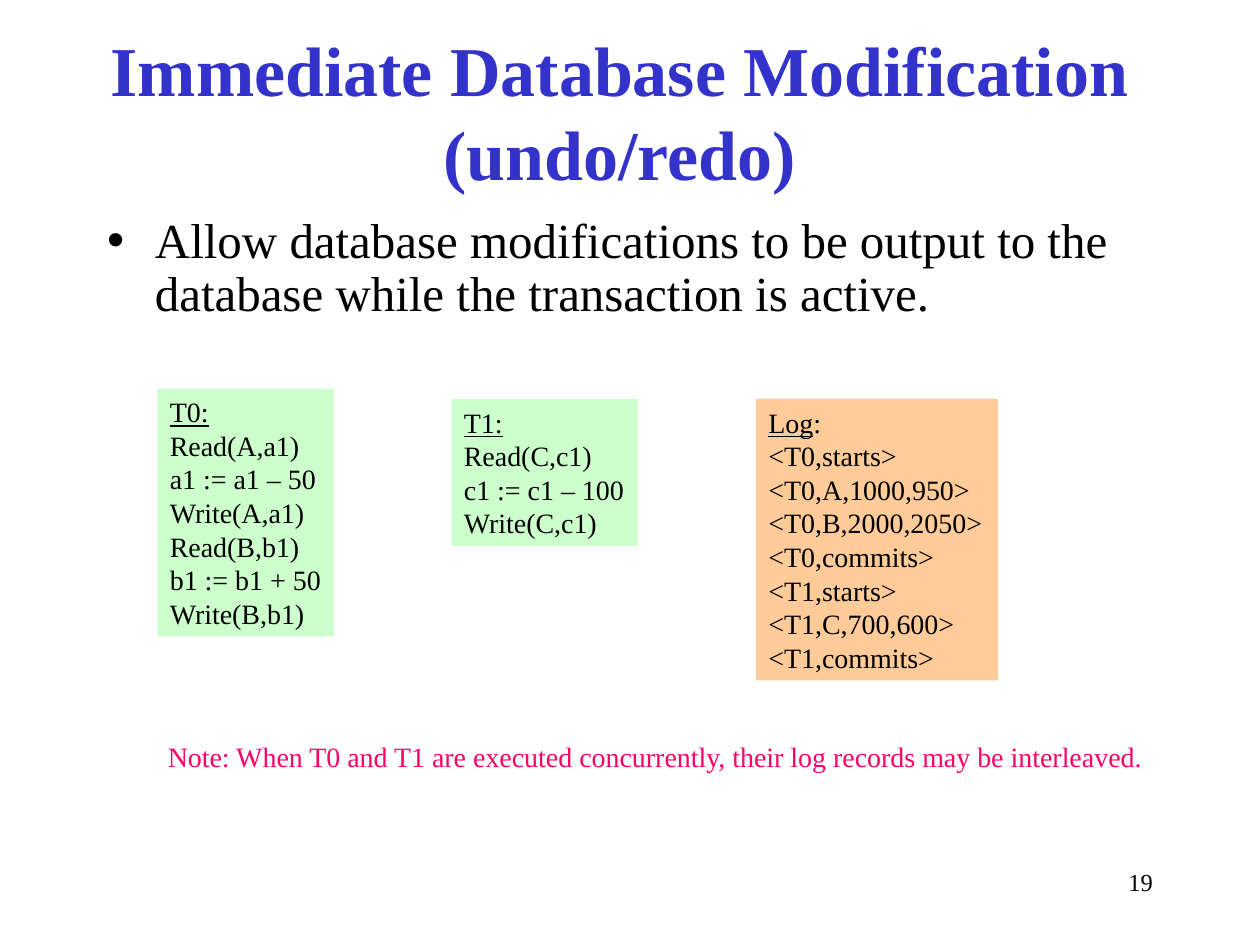
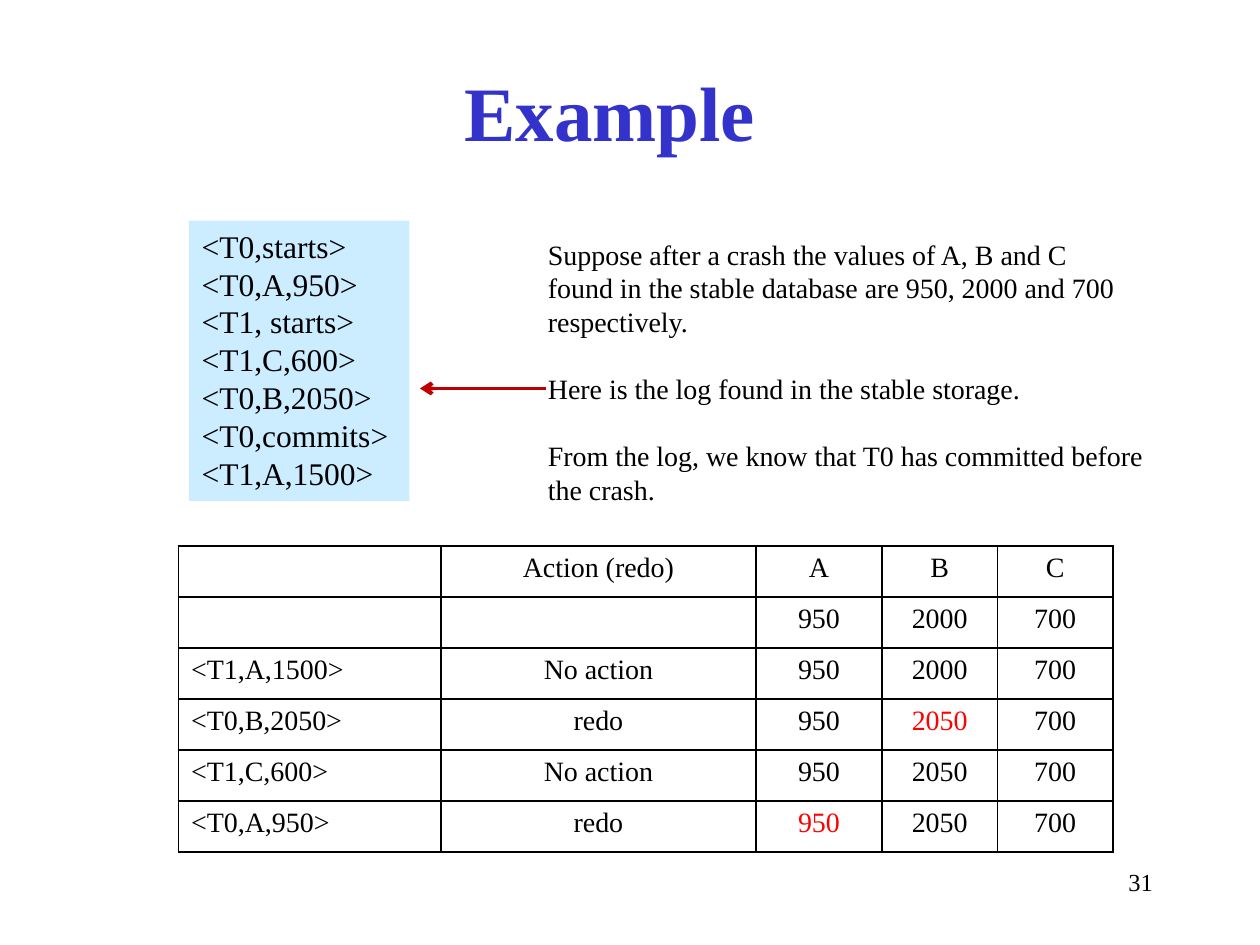
"""Build two slides on database recovery: immediate modification and a redo example."""
from lxml.etree import SubElement
from pptx import Presentation
from pptx.dml.color import RGBColor
from pptx.enum.shapes import MSO_CONNECTOR, MSO_SHAPE
from pptx.enum.text import MSO_ANCHOR, MSO_AUTO_SIZE, PP_ALIGN
from pptx.oxml import parse_xml
from pptx.oxml.ns import nsdecls, qn
from pptx.util import Inches, Pt

COLUMNS, ROWS = 120, 90
CELL = Inches(10) / COLUMNS
FONT = "Times New Roman"
BLACK, RED, PINK = "000000", "FF0000", "FF0066"
TITLE_BLUE, GREEN, ORANGE, PALE_BLUE = "3333CC", "CCFFCC", "FFCC99", "CCECFF"
ARROW_RED = "C00000"
LINE_ROWS, PADDING_ROWS = 3.2, 1.2
TITLE_PLACE, NUMBER_PLACE = (8, 3, 102, 15), (86, 82, 25, 6)
FIT_TEXT = {"word_wrap": False, "auto_size": MSO_AUTO_SIZE.SHAPE_TO_FIT_TEXT,
            "vertical_anchor": MSO_ANCHOR.TOP}
FIXED = {"word_wrap": True, "auto_size": MSO_AUTO_SIZE.NONE,
         "vertical_anchor": MSO_ANCHOR.TOP}


def place(shape, grid):
    """Move a shape to left, top, width and height in grid cells."""
    for name, cells in zip(("left", "top", "width", "height"), grid):
        setattr(shape, name, round(cells * CELL))


def write(frame, lines, size=16, color=BLACK, bold=False, layout=None, **paragraph_format):
    """Write one paragraph per line, with runs parted by a bar."""
    for name, value in (layout or {}).items():
        setattr(frame, name, value)
    for index, line in enumerate(lines):
        paragraph = frame.add_paragraph() if index else frame.paragraphs[0]
        for name, value in paragraph_format.items():
            setattr(paragraph, name, value)
        for text in line.split("|"):
            run = paragraph.add_run()
            run.text = text
            font_format = {"name": FONT, "size": Pt(size), "bold": bold}
            for name, value in font_format.items():
                setattr(run.font, name, value)
            run.font.color.rgb = RGBColor.from_string(color)


presentation = Presentation()
presentation.slide_width = round(COLUMNS * CELL)
presentation.slide_height = round(ROWS * CELL)

slides = []
for title, title_size, number in (
    ("Immediate Database Modification (undo/redo)", 40, "19"),
    ("Example ", 44, "31"),
):
    slide = presentation.slides.add_slide(presentation.slide_layouts[1])
    place(slide.shapes.title, TITLE_PLACE)
    write(slide.shapes.title.text_frame, [title], title_size, TITLE_BLUE, True,
          {**FIXED, "vertical_anchor": MSO_ANCHOR.MIDDLE}, alignment=PP_ALIGN.CENTER)
    number_box = slide.shapes.add_textbox(0, 0, 0, 0)
    place(number_box, NUMBER_PLACE)
    write(number_box.text_frame, [number], 14, layout=FIXED, alignment=PP_ALIGN.RIGHT)
    slides.append(slide)
modification_slide, example_slide = slides

body = modification_slide.placeholders[1]
place(body, (9, 20, 102, 12))
write(body.text_frame,
      ["Allow database modifications to be output to the database while the transaction is active."],
      28, layout=FIXED, line_spacing=0.9, space_before=Pt(5.6))
properties = body.text_frame.paragraphs[0]._p.get_or_add_pPr()
properties.set("marL", str(Inches(0.38)))
properties.set("indent", str(-Inches(0.38)))
SubElement(properties, qn("a:buChar"), char="•")

for left, top, width, fill, lines in (
    (15, 37, 16.8, GREEN, ["T0:", "Read(A,a1)", "a1 := a1 – 50", "Write(A,a1)",
                           "Read(B,b1)", "b1 := b1 + 50", "Write(B,b1)"]),
    (43, 38, 17.76, GREEN, ["T1:", "Read(C,c1)", "c1 := c1 – 100", "Write(C,c1)"]),
    (72, 38, 23.04, ORANGE, ["Log|:", "<T0,starts>", "<T0,A,1000,950>", "<T0,B,2000,2050>",
                             "<T0,commits>", "<T1,starts>", "<T1,C,700,600>", "<T1,commits>"]),
):
    code_box = modification_slide.shapes.add_shape(MSO_SHAPE.RECTANGLE, 0, 0, 0, 0)
    place(code_box, (left, top, width, len(lines) * LINE_ROWS + PADDING_ROWS))
    code_box.shadow.inherit = False
    code_box.fill.solid()
    code_box.fill.fore_color.rgb = RGBColor.from_string(fill)
    code_box.line.fill.background()
    write(code_box.text_frame, lines, layout=FIT_TEXT, alignment=PP_ALIGN.LEFT)
    code_box.text_frame.paragraphs[0].runs[0].font.underline = True

note = modification_slide.shapes.add_textbox(0, 0, 0, 0)
place(note, (14.8, 69.8, 96, 4.4))
write(note.text_frame,
      ["Note: When T0 and T1 are executed concurrently, their log records may be interleaved."],
      color=PINK, layout=FIT_TEXT)

log = example_slide.placeholders[1]
place(log, (18, 21, 21, 26.7))
log.fill.solid()
log.fill.fore_color.rgb = RGBColor.from_string(PALE_BLUE)
write(log.text_frame,
      ["<T0,starts>", "<T0,A,950>", "<T1, starts>", "<T1,C,600>", "<T0,B,2050>",
       "<T0,commits>", "<T1,A,1500>"],
      18, layout=FIXED, space_before=Pt(0))
for paragraph in log.text_frame.paragraphs:
    properties = paragraph._p.get_or_add_pPr()
    properties.set("marL", "0")
    properties.set("indent", "0")
    SubElement(properties, qn("a:buNone"))

header = ["", "Action (redo)", "A", "B", "C"]
records = [
    header,
    ["", "", "950", "2000", "700"],
    ["<T1,A,1500>", "No action", "950", "2000", "700"],
    ["<T0,B,2050>", "redo", "950", "2050", "700"],
    ["<T1,C,600>", "No action", "950", "2050", "700"],
    ["<T0,A,950>", "redo", "950", "2050", "700"],
]
table_frame = example_slide.shapes.add_table(len(records), len(header), 0, 0, 0, 0)
place(table_frame, (17, 52, 89, 29.16))
table = table_frame.table
table.first_row = table.horz_banding = False
for column, width in zip(table.columns, (25, 30, 12, 11, 11)):
    column.width = round(width * CELL)
for row, record in zip(table.rows, records):
    row.height = round(29.16 / len(records) * CELL)
    for index, (cell, text) in enumerate(zip(row.cells, record)):
        if text:
            redone = record[1] == "redo" and f",{header[index]}," in record[0]
            write(cell.text_frame, [text], color=RED if redone else BLACK,
                  alignment=PP_ALIGN.CENTER if index else PP_ALIGN.LEFT)
        cell_properties = cell._tc.get_or_add_tcPr()
        for side in ("lnL", "lnR", "lnT", "lnB"):
            cell_properties.append(parse_xml(
                f'<a:{side} {nsdecls("a")} w="{Pt(1)}"><a:solidFill>'
                f'<a:srgbClr val="{BLACK}"/></a:solidFill></a:{side}>'))
        cell.fill.background()

explanation = example_slide.shapes.add_textbox(0, 0, 0, 0)
place(explanation, (51, 22, 59.88, 27.12))
write(explanation.text_frame,
      ["Suppose after a crash the values of A, B and C",
       "found in the stable database are 950, 2000 and 700",
       "respectively.",
       "Here is the log found in the stable storage.",
       "From the log, we know that T0 has committed before",
       "the crash."],
      layout=FIT_TEXT)
for index in (3, 4):
    explanation.text_frame.paragraphs[index].space_before = Pt(19.2)

arrow = example_slide.shapes.add_connector(
    MSO_CONNECTOR.STRAIGHT, *(round(cells * CELL) for cells in (52, 37, 40, 37)))
arrow.line.color.rgb = RGBColor.from_string(ARROW_RED)
arrow.line.width = Pt(2.25)
SubElement(arrow.line._get_or_add_ln(), qn("a:tailEnd"), type="arrow")
SubElement(arrow._element.spPr, qn("a:effectLst"))

presentation.save("out.pptx")
